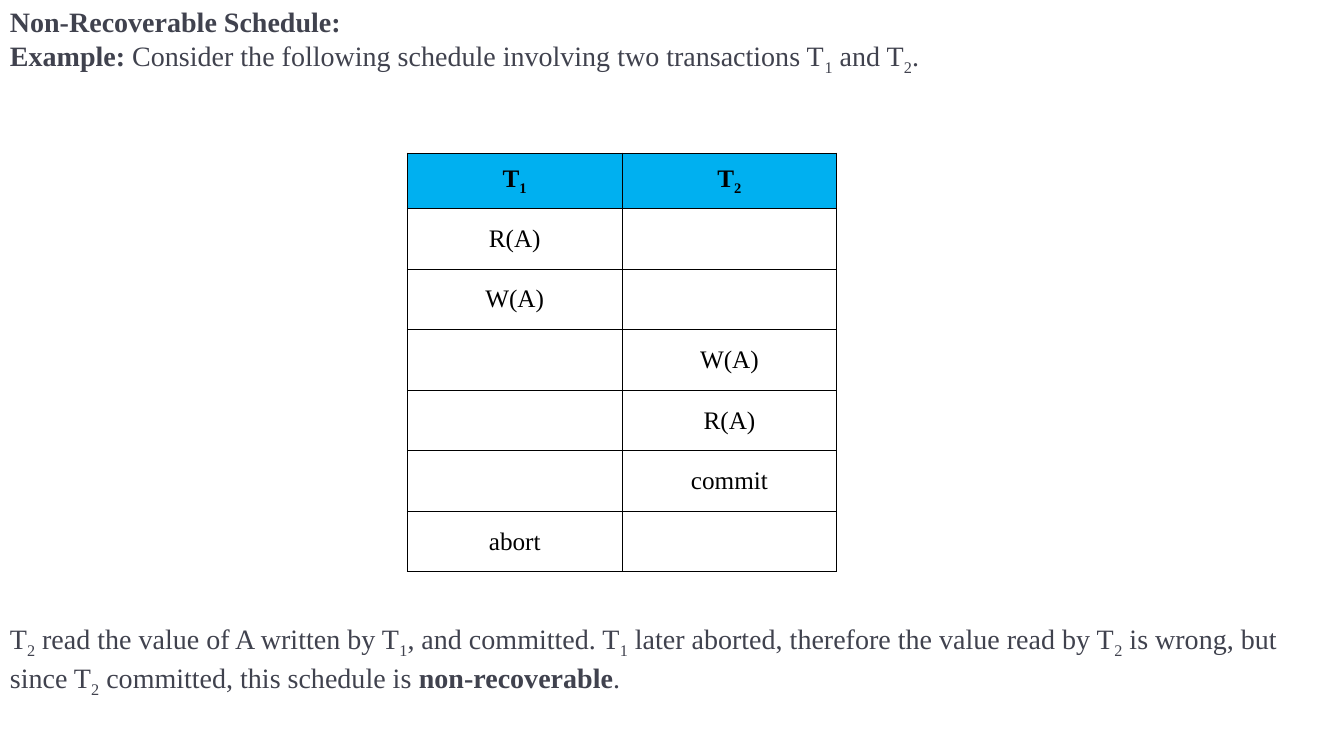
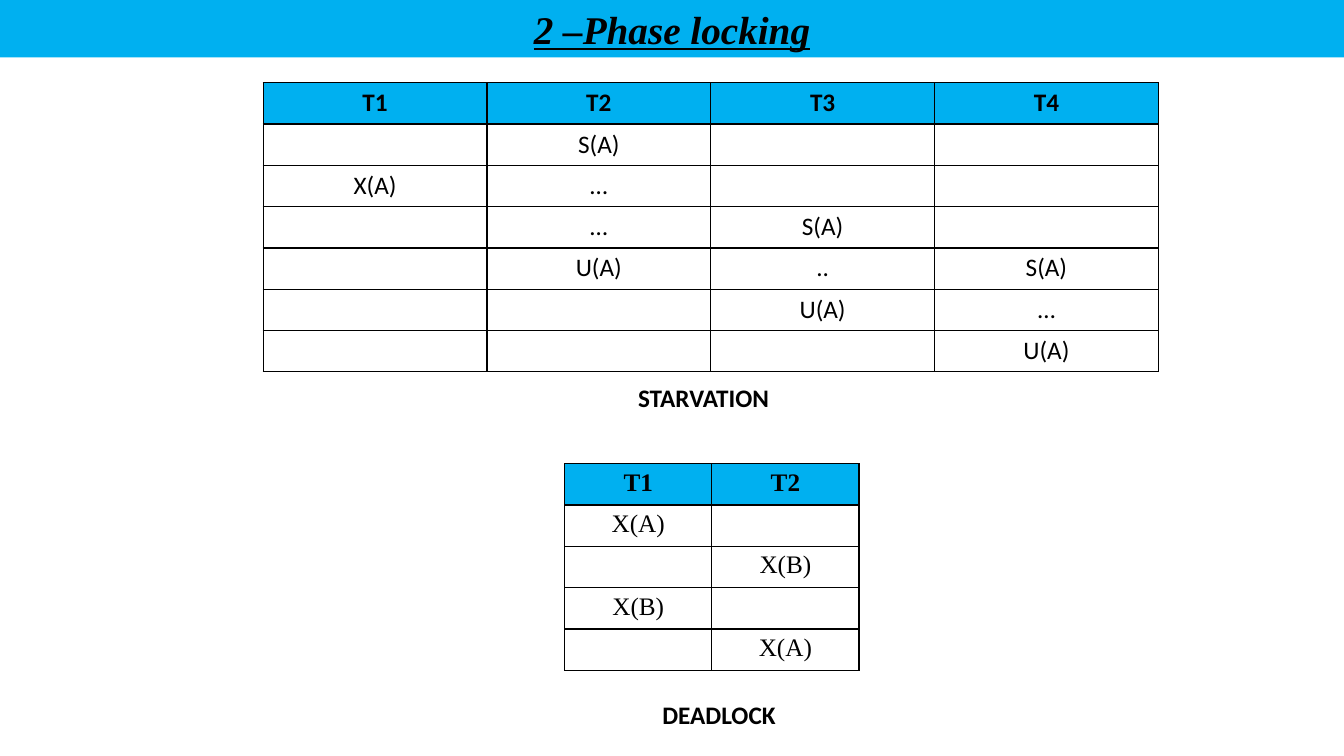
from dataclasses import dataclass

from lxml.etree import SubElement
from pptx import Presentation
from pptx.dml.color import RGBColor as RGB
from pptx.enum.shapes import MSO_SHAPE as SHAPE
from pptx.enum.text import MSO_ANCHOR as ANCHOR, PP_ALIGN as ALIGN
from pptx.oxml.ns import qn
from pptx.util import Emu, Pt

EMU_PER_PX = 9144  # 100 px to the inch
WIDTH, HEIGHT = 1333, 750


def px(n):
    return Emu(n * EMU_PER_PX)


@dataclass(frozen=True)
class Theme:
    accent: RGB = RGB(0x00, 0xB0, 0xF0)
    ink: RGB = RGB(0, 0, 0)
    prose: RGB = RGB(0x40, 0x42, 0x4E)
    paper: RGB = RGB(0xFF, 0xFF, 0xFF)
    serif: str = "Times New Roman"
    sans: str = "Calibri"
    title_size: int = 28
    prose_size: int = 20
    table_size: int = 18


class Deck:
    def __init__(self, theme):
        self.theme = theme
        self.prs = Presentation()
        self.prs.slide_width, self.prs.slide_height = px(WIDTH), px(HEIGHT)
        self.slide = None

    def new_slide(self):
        self.slide = self.prs.slides.add_slide(self.prs.slide_layouts[6])

    def set_text(self, p, text, size, face, color, bold=False, align=None):
        """Fill a paragraph; *...* marks bold and ~...~ marks subscript."""
        p.alignment = align
        p.font.size, p.font.name, p.font.bold = Pt(size), face, bold
        p.font.color.rgb = color
        for i, part in enumerate(text.split("*")):
            for j, piece in enumerate(part.split("~")):
                if not piece:
                    continue
                r = p.add_run()
                r.text = piece
                if i % 2:
                    r.font.bold = True
                if j % 2:
                    r.font._element.set("baseline", "-25000")

    def text_box(self, x, y, w, h):
        tf = self.slide.shapes.add_textbox(px(x), px(y), px(w), px(h)).text_frame
        tf.word_wrap = True
        return tf

    def prose(self, y, *lines):
        t = self.theme
        tf = self.text_box(0, y, WIDTH, 77)
        for i, line in enumerate(lines):
            p = tf.add_paragraph() if i else tf.paragraphs[0]
            self.set_text(p, line, t.prose_size, t.serif, t.prose)

    def caption(self, x, y, w, text):
        t = self.theme
        tf = self.text_box(x, y, w, 40)
        self.set_text(tf.paragraphs[0], text, t.table_size, t.sans, t.ink, bold=True)

    def title_band(self, text):
        t = self.theme
        sp = self.slide.shapes.add_shape(SHAPE.RECTANGLE, 0, 0, px(WIDTH), px(57))
        sp.shadow.inherit = False
        sp.fill.solid()
        sp.fill.fore_color.rgb = t.accent
        sp.line.fill.background()
        p = sp.text_frame.paragraphs[0]
        self.set_text(p, text, t.title_size, t.serif, t.ink, True, ALIGN.CENTER)
        p.font.italic = p.font.underline = True

    def border(self, cell):
        tc_pr = cell._tc.get_or_add_tcPr()
        for side in ("a:lnL", "a:lnR", "a:lnT", "a:lnB"):
            ln = SubElement(tc_pr, qn(side), w=str(Pt(1)))
            fill = SubElement(ln, qn("a:solidFill"))
            SubElement(fill, qn("a:srgbClr"), val=str(self.theme.ink))

    def schedule(self, x, y, col_w, rows, face, head_h=41, row_h=41,
                 head_pad=5, row_pad=5, anchor=ANCHOR.TOP):
        """Draw a transaction schedule; the first row is the header."""
        t = self.theme
        n_rows, n_cols = len(rows), len(rows[0])
        height = head_h + row_h * (n_rows - 1)
        table = self.slide.shapes.add_table(
            n_rows, n_cols, px(x), px(y), px(col_w * n_cols), px(height)).table
        table.first_row = table.horz_banding = False
        for col in table.columns:
            col.width = px(col_w)
        for i, row in enumerate(rows):
            head = i == 0
            table.rows[i].height = px(head_h if head else row_h)
            for j, text in enumerate(row):
                cell = table.cell(i, j)
                self.border(cell)
                cell.fill.solid()
                cell.fill.fore_color.rgb = t.accent if head else t.paper
                cell.vertical_anchor = anchor
                cell.margin_top = cell.margin_bottom = px(head_pad if head else row_pad)
                self.set_text(cell.text_frame.paragraphs[0], text, t.table_size,
                              face, t.ink, head, ALIGN.CENTER)


def non_recoverable(deck):
    deck.new_slide()
    deck.prose(0, "*Non-Recoverable Schedule:*",
               "*Example:* Consider the following schedule involving two "
               "transactions T~1~ and T~2~.")
    deck.schedule(404, 152, 213, [
        ("T~1~", "T~2~"),
        ("R(A)", ""),
        ("W(A)", ""),
        ("", "W(A)"),
        ("", "R(A)"),
        ("", "commit"),
        ("abort", ""),
    ], deck.theme.serif, head_h=55, row_h=59, head_pad=10, row_pad=15,
        anchor=ANCHOR.MIDDLE)
    deck.prose(612, "T~2~ read the value of A written by T~1~, and committed. "
               "T~1~ later aborted, therefore the value read by T~2~ is wrong, "
               "but since T~2~ committed, this schedule is *non-recoverable*.")


def two_phase_locking(deck):
    deck.new_slide()
    deck.title_band("2 –Phase locking")
    deck.schedule(261, 82, 222, [
        ("T1", "T2", "T3", "T4"),
        ("", "S(A)", "", ""),
        ("X(A)", "…", "", ""),
        ("", "…", "S(A)", ""),
        ("", "U(A)", "..", "S(A)"),
        ("", "", "U(A)", "…"),
        ("", "", "", "U(A)"),
    ], deck.theme.sans)
    deck.schedule(560, 460, 146, [
        ("T1", "T2"),
        ("X(A)", ""),
        ("", "X(B)"),
        ("X(B)", ""),
        ("", "X(A)"),
    ], deck.theme.serif)
    deck.caption(623, 374, 266, "STARVATION")
    deck.caption(647, 689, 229, "DEADLOCK")


def main():
    deck = Deck(Theme())
    non_recoverable(deck)
    two_phase_locking(deck)
    deck.prs.save("out.pptx")


if __name__ == "__main__":
    main()
